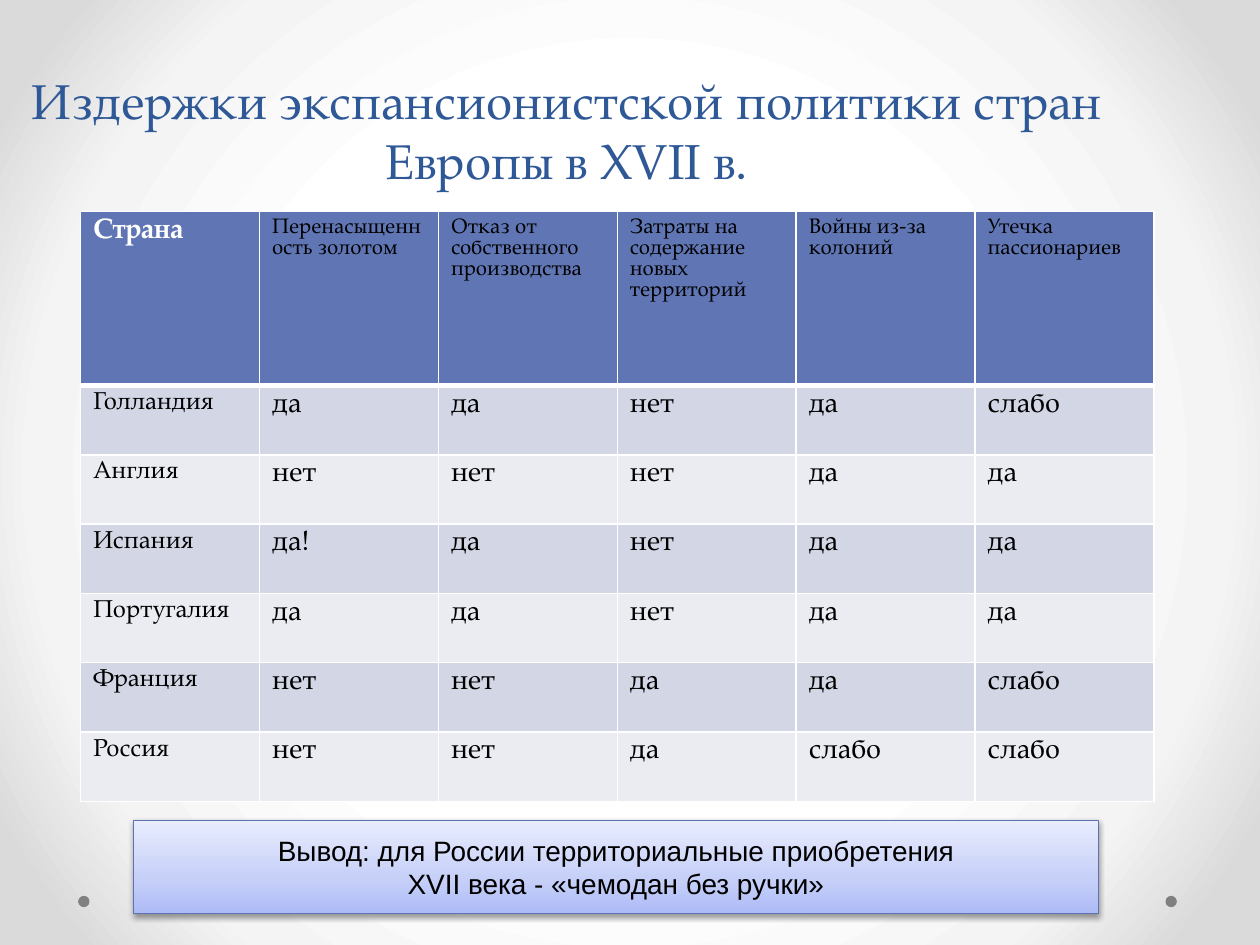
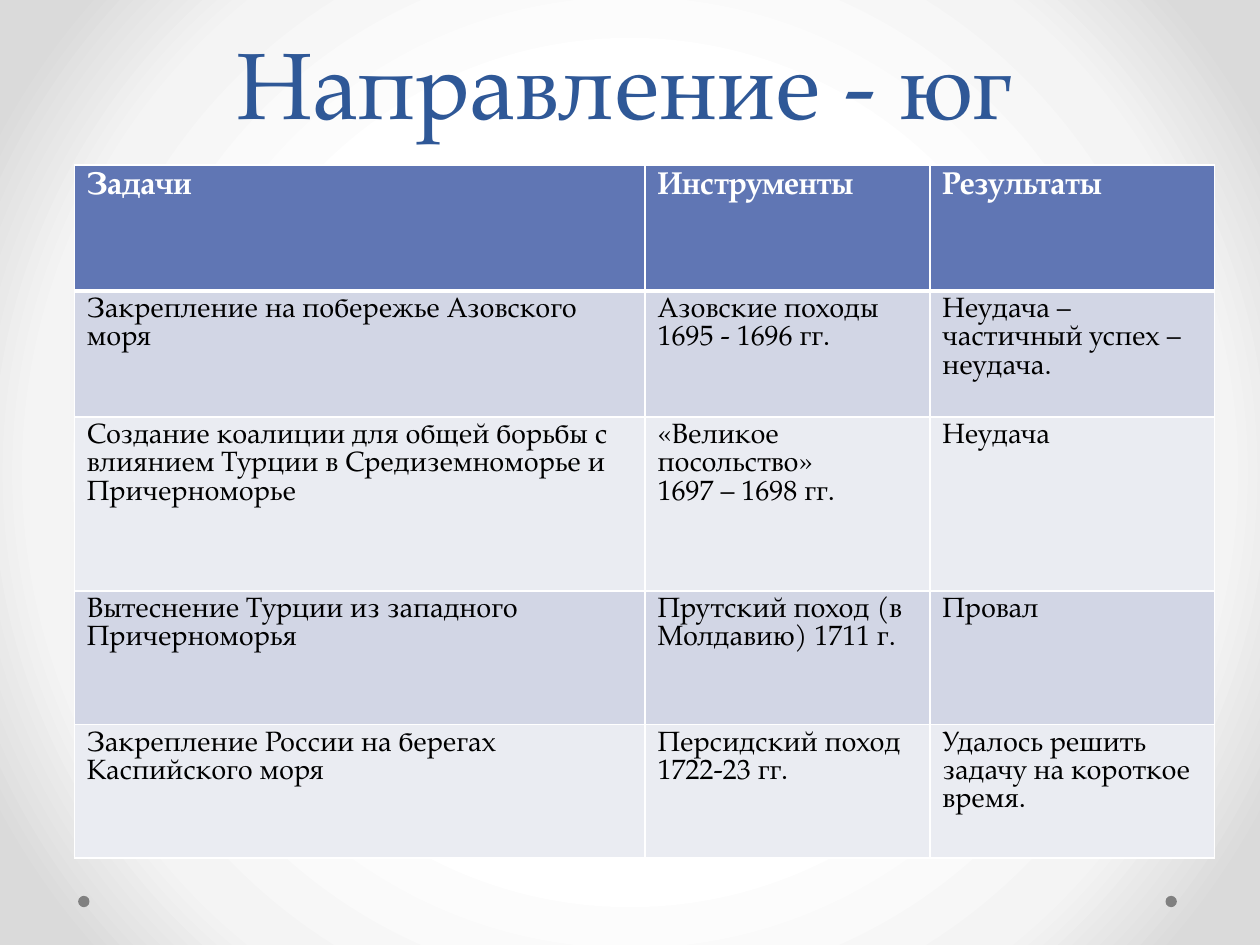
import pptx
import pptx.util
import pptx.dml.color
import pptx.enum.shapes
import pptx.enum.text
import pptx.oxml
import pptx.oxml.ns

Inches, Pt = pptx.util.Inches, pptx.util.Pt
ALIGN, ANCHOR = pptx.enum.text.PP_ALIGN, pptx.enum.text.MSO_ANCHOR
SHAPE = pptx.enum.shapes.MSO_SHAPE
qn = pptx.oxml.ns.qn

SERIF, SANS = "TeX Gyre Pagella", "Arial"
HUE = {"title": "2F5897", "head": "6076B4", "odd": "D2D6E5", "even": "EAECF2",
       "white": "FFFFFF", "black": "000000", "dot": "808080", "edge": "5C72B2"}
BACK = [(50, "FFFFFF"), (76, "F4F4F4"), (92, "DADADA")]
GLOW = [(0, "ADBBF6"), (35, "C5CFF8"), (100, "E8ECFD")]
DOTS = [9.25, 0.62]

COSTS = {
    "title": "Издержки экспансионистской политики стран Европы в XVII в.",
    "box": (0, 0.3, 9, 1.25), "size": 28, "lead": 34,
    "spot": (0.64, 1.68), "cols": [1.42] * 6, "rows": [1.38] + [0.55] * 6,
    "cells": [
        ["Страна", "Перенасыщенность золотом", "Отказ от собственного производства",
         "Затраты на содержание новых территорий", "Войны из-за колоний",
         "Утечка пассионариев"],
        ["Голландия", "да", "да", "нет", "да", "слабо"],
        ["Англия", "нет", "нет", "нет", "да", "да"],
        ["Испания", "да!", "да", "нет", "да", "да"],
        ["Португалия", "да", "да", "нет", "да", "да"],
        ["Франция", "нет", "нет", "да", "да", "слабо"],
        ["Россия", "нет", "нет", "да", "слабо", "слабо"],
    ],
}
SOUTH = {
    "title": "Направление - юг",
    "box": (0.91, 0.3, 8.09, 0.85), "size": 54, "lead": 58,
    "spot": (0.59, 1.31), "cols": [4.53, 2.26, 2.26], "rows": [1, 1, 1.38, 1.06, 1.06],
    "cells": [
        ["Задачи", "Инструменты", "Результаты"],
        ["Закрепление на побережье Азовского моря", "Азовские походы 1695 - 1696 гг.",
         "Неудача – частичный успех – неудача."],
        ["Создание коалиции для общей борьбы с влиянием Турции в Средиземноморье "
         "и Причерноморье", "«Великое посольство»\n1697 – 1698 гг.", "Неудача"],
        ["Вытеснение Турции из западного Причерноморья",
         "Прутский поход (в Молдавию) 1711 г.", "Провал"],
        ["Закрепление России на берегах Каспийского моря", "Персидский поход 1722-23 гг.",
         "Удалось решить задачу на короткое время."],
    ],
}
MORAL = ("Вывод: для России территориальные приобретения\n"
         "XVII века - «чемодан без ручки»")


def rgb(name):
    return pptx.dml.color.RGBColor.from_string(HUE[name])


def xml(text):
    space = pptx.oxml.ns.nsdecls("a")
    return pptx.oxml.parse_xml(text.replace(" ", f" {space} ", 1))


def blend(fill, root, stops, way):
    """Give a fill inside root a gradient that runs the given way."""
    fill.solid()
    old = next(root.iter(qn("a:solidFill")))
    marks = "".join(f'<a:gs pos="{pos * 1000}"><a:srgbClr val="{hue}"/></a:gs>'
                    for pos, hue in stops)
    new = xml(f'<a:gradFill rotWithShape="1"><a:gsLst>{marks}</a:gsLst>{way}</a:gradFill>')
    old.getparent().replace(old, new)


def write(frame, text, size, hue, font=SERIF, bold=False, align=None, lead=None):
    for num, line in enumerate(text.split("\n")):
        para = frame.paragraphs[0] if num == 0 else frame.add_paragraph()
        para.alignment = align
        if lead:
            para.line_spacing = Pt(lead)
        run = para.add_run()
        run.text = line
        run.font.size, run.font.name, run.font.bold = Pt(size), font, bold
        run.font.color.rgb = rgb(hue)


def rule(cell, top, base):
    """Draw the four white cell borders."""
    props = cell._tc.get_or_add_tcPr()
    for num, (side, wide) in enumerate(zip("LRTB", (1, 1, top, base))):
        props.insert(num, xml(
            f'<a:ln{side} w="{Pt(wide)}"><a:solidFill><a:srgbClr val="{HUE["white"]}"/>'
            f'</a:solidFill></a:ln{side}>'))


def start(deck, data):
    """Add a slide with its corner dots and title."""
    slide = deck.slides.add_slide(deck.slide_layouts[6])
    for left in DOTS:
        dot = slide.shapes.add_shape(SHAPE.OVAL, *map(Inches, (left, 7.11, 0.09, 0.09)))
        dot.shadow.inherit = False
        dot.fill.solid()
        dot.fill.fore_color.rgb = rgb("dot")
        dot.line.fill.background()
    frame = slide.shapes.add_textbox(*map(Inches, data["box"])).text_frame
    frame.word_wrap = True
    frame.vertical_anchor = ANCHOR.BOTTOM
    write(frame, data["title"], data["size"], "title", align=ALIGN.CENTER, lead=data["lead"])
    return slide


def grid(slide, data, style):
    """Add the table; style(row, col) gives size, colour and weight."""
    cols, rows = data["cols"], data["rows"]
    size = map(Inches, (*data["spot"], sum(cols), sum(rows)))
    table = slide.shapes.add_table(len(rows), len(cols), *size).table
    for col, wide in zip(table.columns, cols):
        col.width = Inches(wide)
    for r, tall in enumerate(rows):
        table.rows[r].height = Inches(tall)
        for c, text in enumerate(data["cells"][r]):
            cell = table.cell(r, c)
            cell.fill.solid()
            cell.fill.fore_color.rgb = rgb("head" if r == 0 else "odd" if r % 2 else "even")
            rule(cell, 3 if r == 1 else 1, 3 if r == 0 else 1)
            size, hue, bold = style(r, c)
            write(cell.text_frame, text, size, hue, bold=bold)


def cost_style(r, c):
    if r == 0:
        return (16, "white", True) if c == 0 else (12, "black", False)
    return (14 if c == 0 else 16), "black", False


def south_style(r, c):
    return (18, "white", True) if r == 0 else (16, "black", False)


def banner(slide):
    box = slide.shapes.add_shape(SHAPE.RECTANGLE, *map(Inches, (1.06, 6.51, 7.66, 0.74)))
    blend(box.fill, box.element.spPr, GLOW, '<a:lin ang="16200000" scaled="0"/>')
    box.line.color.rgb = rgb("edge")
    box.line.width = Pt(0.75)
    box.shadow.inherit = False
    box.element.spPr.find(qn("a:effectLst")).append(xml(
        f'<a:outerShdw blurRad="{Pt(3.1)}" dist="{Pt(1.6)}" dir="5400000" rotWithShape="0">'
        f'<a:srgbClr val="{HUE["black"]}"><a:alpha val="38000"/></a:srgbClr></a:outerShdw>'))
    frame = box.text_frame
    frame.word_wrap = False
    frame.vertical_anchor = ANCHOR.MIDDLE
    write(frame, MORAL, 16, "black", font=SANS, align=ALIGN.CENTER)


def main():
    deck = pptx.Presentation()
    deck.slide_width, deck.slide_height = Inches(10), Inches(7.5)
    master = deck.slide_master
    blend(master.background.fill, master.element.cSld, BACK,
          '<a:path path="circle"><a:fillToRect l="50000" t="50000" r="50000" b="50000"/>'
          '</a:path>')
    costs = start(deck, COSTS)
    banner(costs)
    grid(costs, COSTS, cost_style)
    grid(start(deck, SOUTH), SOUTH, south_style)
    deck.save("out.pptx")


if __name__ == "__main__":
    main()
